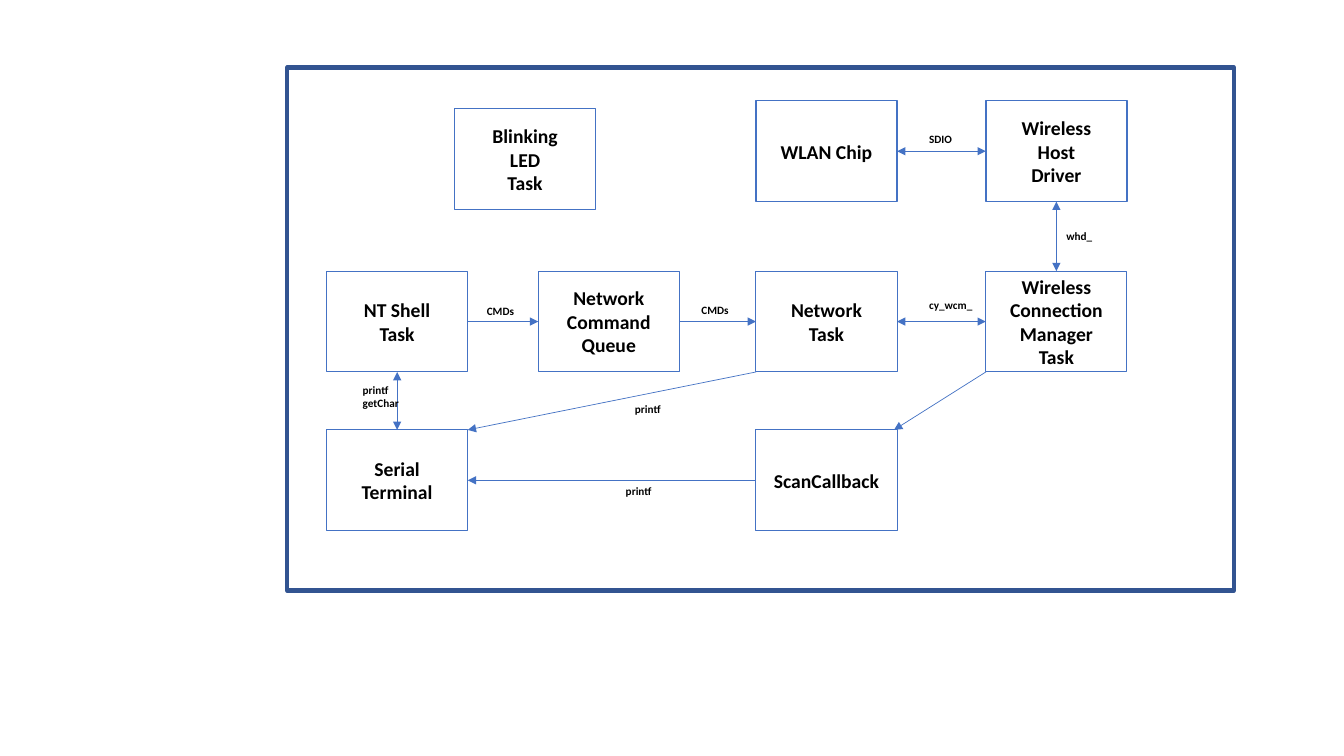
from dataclasses import dataclass

from lxml.etree import SubElement
from pptx import Presentation
from pptx.dml.color import RGBColor
from pptx.enum.shapes import MSO_CONNECTOR, MSO_SHAPE
from pptx.enum.text import MSO_ANCHOR, MSO_AUTO_SIZE, PP_ALIGN
from pptx.oxml.ns import qn
from pptx.shapes.autoshape import Shape
from pptx.shapes.connector import Connector
from pptx.slide import Slide
from pptx.text.text import TextFrame
from pptx.util import Pt

BLUE = RGBColor(0x44, 0x72, 0xC4)
NAVY = RGBColor(0x32, 0x54, 0x91)
BLACK = RGBColor(0x00, 0x00, 0x00)
FONT = "Calibri"

BOX_WIDTH, BOX_HEIGHT = 100.8, 72
COLUMNS = (233.3, 384.5, 540, 704.2)
ROWS = (72, 193.7, 307.1)
TOP, LEFT, BOTTOM, RIGHT = range(4)


@dataclass(frozen=True)
class Node:
    text: str
    left: float
    top: float
    line_width: float = 0.75


@dataclass(frozen=True)
class Link:
    start: str
    start_side: int
    end: str
    end_side: int
    both_ways: bool = False


@dataclass(frozen=True)
class Diagonal:
    start: tuple[float, float]
    end: tuple[float, float]


@dataclass(frozen=True)
class Label:
    text: str
    left: float
    top: float
    width: float
    height: float = 17


NODES = {
    "shell": Node("NT Shell\nTask", COLUMNS[0], ROWS[1]),
    "queue": Node("Network\nCommand\nQueue", COLUMNS[1], ROWS[1]),
    "network": Node("Network\nTask", COLUMNS[2], ROWS[1]),
    "manager": Node("Wireless\nConnection\nManager\nTask", COLUMNS[3], ROWS[1]),
    "serial": Node("Serial\nTerminal", COLUMNS[0], ROWS[2]),
    "scan": Node("ScanCallback", COLUMNS[2], ROWS[2]),
    "chip": Node("WLAN Chip", COLUMNS[2], ROWS[0], 1),
    "driver": Node("Wireless\nHost\nDriver", COLUMNS[3], ROWS[0], 1),
    "blinking": Node("Blinking\nLED\nTask", 324.7, 77.8),
}

LINKS = (
    Link("shell", RIGHT, "queue", LEFT),
    Link("queue", RIGHT, "network", LEFT),
    Link("network", RIGHT, "manager", LEFT, both_ways=True),
    Link("shell", BOTTOM, "serial", TOP, both_ways=True),
    Link("chip", RIGHT, "driver", LEFT, both_ways=True),
    Link("driver", BOTTOM, "manager", TOP, both_ways=True),
    Link("scan", LEFT, "serial", RIGHT),
)

DIAGONALS = (
    Diagonal((COLUMNS[2], ROWS[1] + BOX_HEIGHT), (COLUMNS[0] + BOX_WIDTH, ROWS[2])),
    Diagonal((COLUMNS[3], ROWS[1] + BOX_HEIGHT), (638.6, ROWS[2])),
)

LABELS = (
    Label("printf\ngetChar", 252, 270, 40.3, 26.6),
    Label("SDIO", 656.6, 90.7, 31),
    Label("whd_", 754.6, 160.6, 33.1),
    Label("cy_wcm_", 656.6, 209.5, 46.1),
    Label("CMDs", 493.9, 213.1, 34.6),
    Label("CMDs", 340.6, 213.8, 34.6),
    Label("printf", 446.4, 283.7, 33.1),
    Label("printf", 439.9, 342.7, 33.1),
)


def write_text(frame: TextFrame, text: str, *, size: float, align: PP_ALIGN) -> None:
    frame.word_wrap = False
    for index, line in enumerate(text.split("\n")):
        para = frame.paragraphs[0] if index == 0 else frame.add_paragraph()
        para.alignment = align
        span = para.add_run()
        span.text = line
        span.font.name = FONT
        span.font.size = Pt(size)
        span.font.bold = True
        span.font.color.rgb = BLACK


def add_outline(page: Slide, left: float, top: float, width: float, height: float,
                *, color: RGBColor, line_width: float) -> Shape:
    """Add an unfilled rectangle."""
    box = page.shapes.add_shape(MSO_SHAPE.RECTANGLE, Pt(left), Pt(top), Pt(width), Pt(height))
    box.shadow.inherit = False
    box.fill.background()
    box.line.color.rgb = color
    box.line.width = Pt(line_width)
    return box


def add_node(page: Slide, node: Node) -> Shape:
    box = add_outline(page, node.left, node.top, BOX_WIDTH, BOX_HEIGHT,
                      color=BLUE, line_width=node.line_width)
    box.text_frame.vertical_anchor = MSO_ANCHOR.MIDDLE
    write_text(box.text_frame, node.text, size=14, align=PP_ALIGN.CENTER)
    return box


def add_arrow(page: Slide, start: tuple[float, float] = (0, 0),
              end: tuple[float, float] = (0, 0), *, both_ways: bool = False) -> Connector:
    arrow = page.shapes.add_connector(
        MSO_CONNECTOR.STRAIGHT, Pt(start[0]), Pt(start[1]), Pt(end[0]), Pt(end[1]))
    arrow.line.color.rgb = BLUE
    arrow.line.width = Pt(0.5)
    outline = arrow.line._get_or_add_ln()
    if both_ways:
        SubElement(outline, qn("a:headEnd"), type="triangle")
    SubElement(outline, qn("a:tailEnd"), type="triangle")
    SubElement(arrow._element.spPr, qn("a:effectLst"))
    return arrow


def add_link(page: Slide, link: Link, boxes: dict[str, Shape]) -> None:
    arrow = add_arrow(page, both_ways=link.both_ways)
    arrow.begin_connect(boxes[link.start], link.start_side)
    arrow.end_connect(boxes[link.end], link.end_side)


def add_label(page: Slide, label: Label) -> None:
    box = page.shapes.add_textbox(
        Pt(label.left), Pt(label.top), Pt(label.width), Pt(label.height))
    box.text_frame.auto_size = MSO_AUTO_SIZE.SHAPE_TO_FIT_TEXT
    write_text(box.text_frame, label.text, size=8, align=PP_ALIGN.LEFT)


def main() -> None:
    deck = Presentation()
    deck.slide_width, deck.slide_height = Pt(960), Pt(540)
    page = deck.slides.add_slide(deck.slide_layouts[6])

    add_outline(page, 205.2, 48.2, 676.1, 373.7, color=NAVY, line_width=3)
    boxes = {name: add_node(page, node) for name, node in NODES.items()}
    for link in LINKS:
        add_link(page, link, boxes)
    for diagonal in DIAGONALS:
        add_arrow(page, diagonal.start, diagonal.end)
    for label in LABELS:
        add_label(page, label)

    deck.save("out.pptx")


if __name__ == "__main__":
    main()
